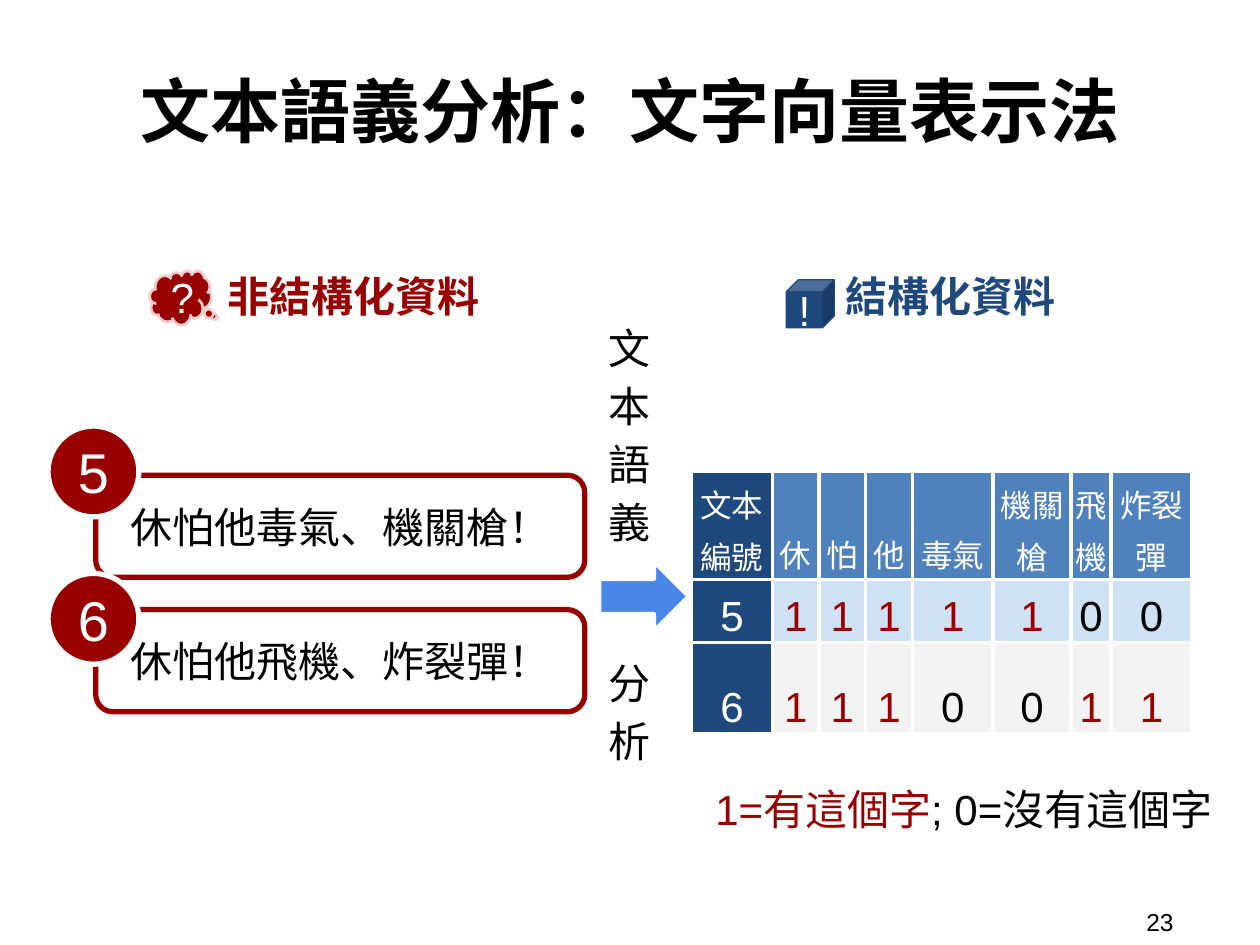
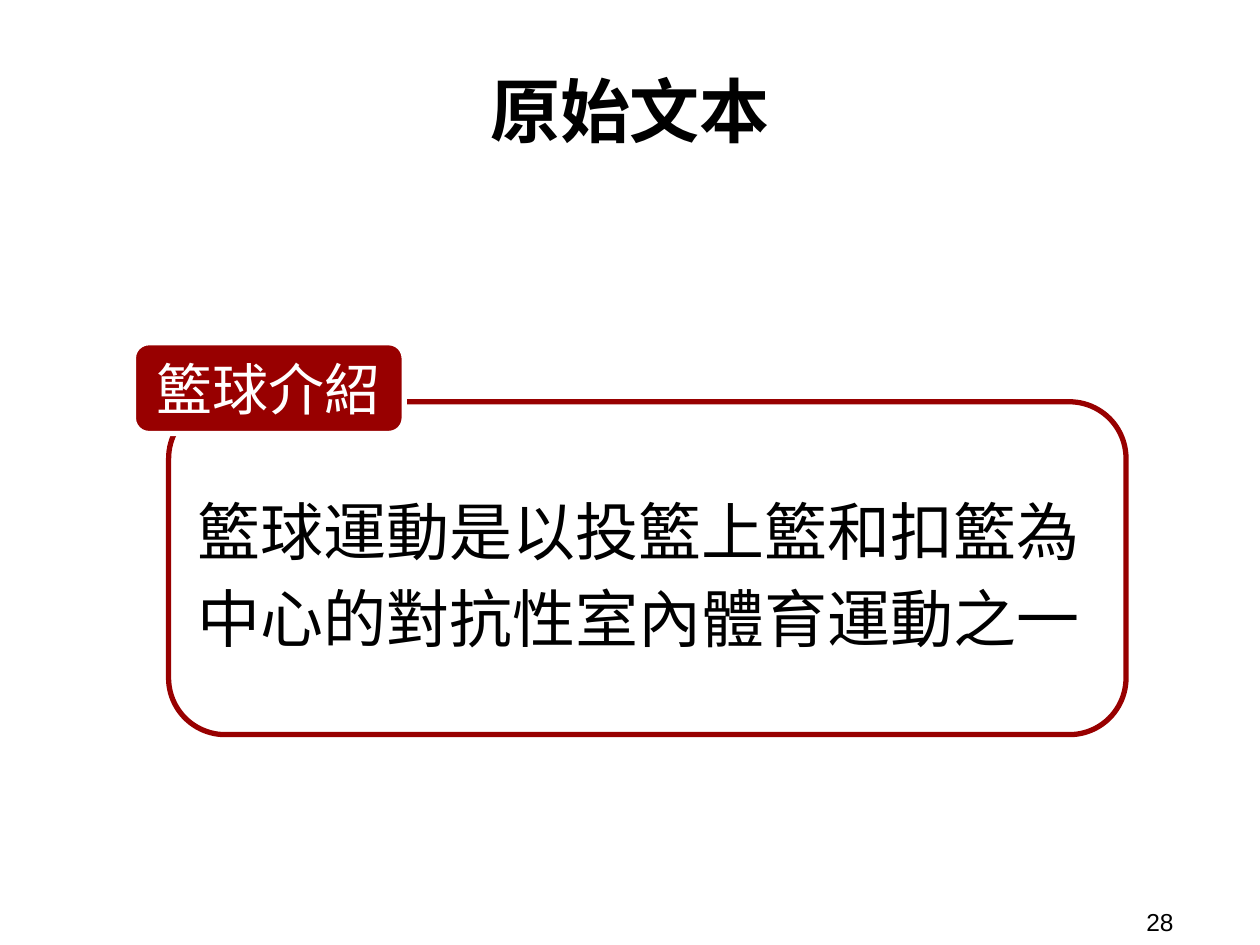
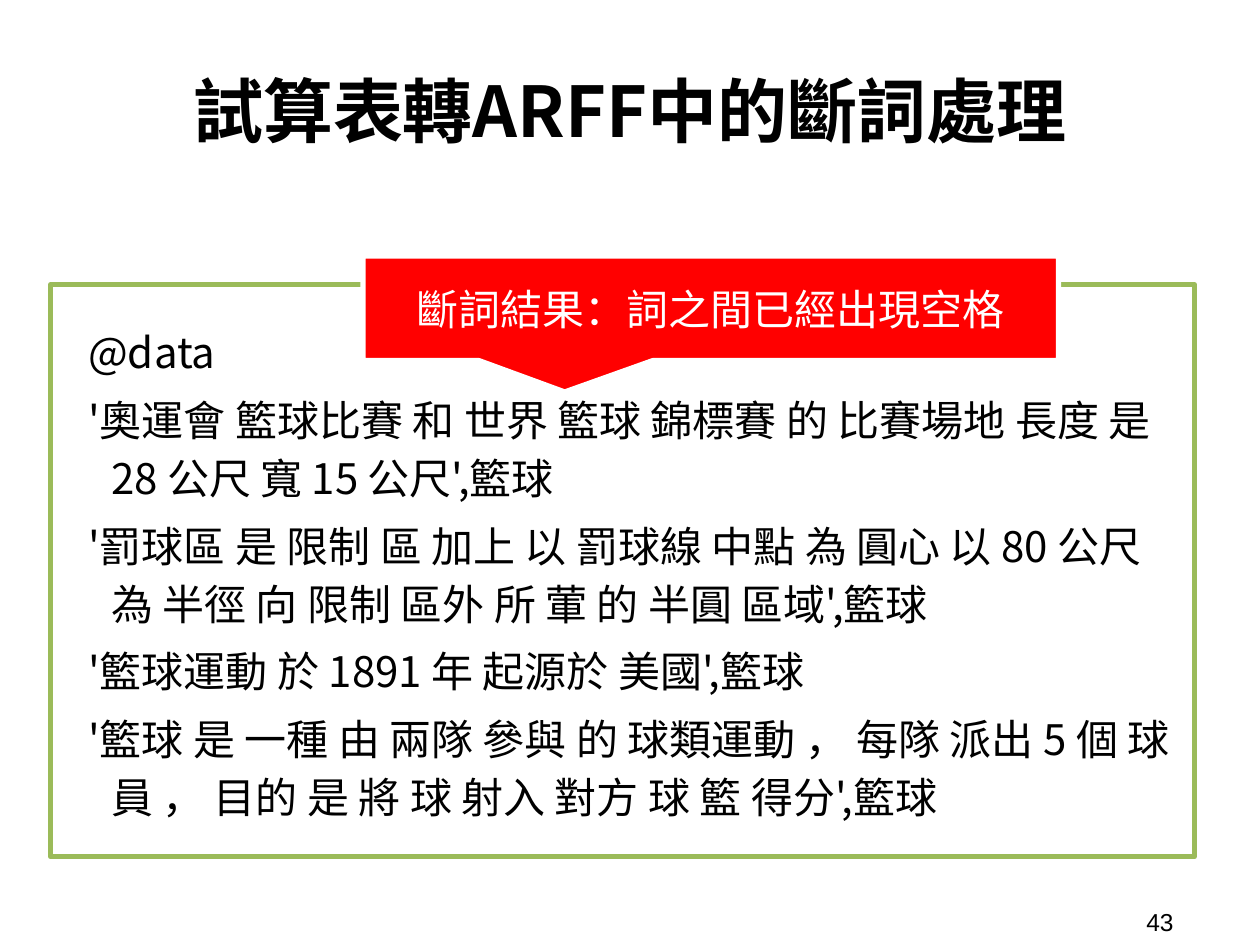
from itertools import cycle
from lxml import etree
from pptx import Presentation
from pptx import util as u
from pptx.dml.color import RGBColor
from pptx.enum import shapes, text
from pptx.oxml import ns

Cm = u.Cm
Shape = shapes.MSO_SHAPE
Align = text.PP_ALIGN
Anchor = text.MSO_ANCHOR
CJK = "Noto Sans CJK TC"
RED, NAVY, BLUE, WHITE, BLACK = "980000", "1F497D", "4F81BD", "FFFFFF", "000000"


def rgb(value):
    return RGBColor.from_string(value)


def write(holder, content, size=24, colors=(BLACK,), font="Arial", bold=False,
          align=Align.CENTER, anchor=Anchor.MIDDLE, inset=(0.25, 0.25),
          spacing=None, before=0, hanging=None):
    frame = holder.text_frame
    frame.word_wrap = True
    body = frame if hasattr(holder, "shape_type") else holder
    body.vertical_anchor = anchor
    body.margin_left = body.margin_right = Cm(inset[0])
    body.margin_top = body.margin_bottom = Cm(inset[1])
    for number, line in enumerate(content.split("\n")):
        paragraph = frame.add_paragraph() if number else frame.paragraphs[0]
        paragraph.alignment = align
        if spacing:
            paragraph.line_spacing = spacing
        if number and before:
            paragraph.space_before = u.Pt(before)
        if hanging:
            properties = paragraph._p.get_or_add_pPr()
            properties.set("marL", str(Cm(hanging[0])))
            properties.set("indent", str(Cm(hanging[1])))
        for piece, color in zip(line.split("|"), cycle(colors)):
            run = paragraph.add_run()
            run.text = piece
            run.font.size = u.Pt(size)
            run.font.bold = bold
            run.font.color.rgb = rgb(color)
            run.font.name = font
            etree.SubElement(run._r.get_or_add_rPr(), ns.qn("a:ea"), typeface=CJK)


deck = Presentation()
deck.slide_width, deck.slide_height = Cm(25.4), Cm(19.05)

pages = []
for heading, page_number in (("文本語義分析：文字向量表示法", "23"),
                             ("原始文本", "28"),
                             ("試算表轉ARFF中的斷詞處理", "43")):
    page = deck.slides.add_slide(deck.slide_layouts[5])
    title = page.shapes.title
    title.left, title.top, title.width, title.height = Cm(1.32), Cm(0.48), Cm(22.76), Cm(3.45)
    write(title, heading, size=40, font=CJK, bold=True)
    title.text_frame.auto_size = text.MSO_AUTO_SIZE.NONE
    footer = page.shapes.add_textbox(Cm(22.86), Cm(18.21), Cm(2.34), Cm(0.74))
    write(footer, page_number, size=14, align=Align.LEFT, inset=(0.25, 0.13))
    pages.append(page)
vectors, source_text, segmented = pages

arff_lines = """@data
'奧運會 籃球比賽 和 世界 籃球 錦標賽 的 比賽場地 長度 是 28 公尺 寬 15 公尺',籃球
'罰球區 是 限制 區 加上 以 罰球線 中點 為 圓心 以 80 公尺 為 半徑 向 限制 區外 所 葷 的 半圓 區域',籃球
'籃球運動 於 1891 年 起源於 美國',籃球
'籃球 是 一種 由 兩隊 參與 的 球類運動 ， 每隊 派出 5 個 球員 ， 目的 是 將 球 射入 對方 球 籃 得分',籃球"""

badge = dict(size=32, colors=(WHITE,))
icon = dict(colors=(WHITE,), align=Align.LEFT)
figures = [
    (vectors, Shape.RIGHT_ARROW, (12.07, 11.3, 1.83, 1.45), (0.5, 0.5),
     "4A86E8", WHITE, 3, "", {}),
    (vectors, Shape.CLOUD_CALLOUT, (3.02, 5.46, 1.24, 1.09), (0.58, 0.37),
     RED, "F4CCCC", 1.5, "?", icon),
    (vectors, Shape.CUBE, (15.85, 5.64, 0.97, 0.97), (0.25,),
     NAVY, NAVY, 0.75, "!", icon),
]
documents = [("5", "休怕他毒氣、機關槍！", 9.58, 8.59),
             ("6", "休怕他飛機、炸裂彈！", 12.29, 11.56)]
for label, sentence, top, badge_top in documents:
    figures.append((vectors, Shape.ROUNDED_RECTANGLE, (1.93, top, 9.86, 2.06), (0.17,),
                    WHITE, RED, 3, sentence, {}))
for label, sentence, top, badge_top in documents:
    figures.append((vectors, Shape.OVAL, (0.97, badge_top, 1.83, 1.83), (),
                    RED, WHITE, 3, label, badge))
figures += [
    (source_text, Shape.ROUNDED_RECTANGLE, (3.4, 8.1, 19.3, 6.71), (0.17,), WHITE, RED, 3,
     "籃球運動是以投籃上籃和扣籃為中心的對抗性室內體育運動之一",
     dict(size=36, align=Align.LEFT, spacing=1.15)),
    (source_text, Shape.ROUNDED_RECTANGLE, (2.69, 6.91, 5.46, 1.83), (0.17,), RED, WHITE, 3,
     "籃球介紹", badge),
    (segmented, Shape.RECTANGLE, (1.02, 5.74, 23.06, 11.53), (), None, "9BBB59", 3, arff_lines,
     dict(font=CJK, align=Align.LEFT, spacing=1.15, before=5.6, hanging=(0.97, -0.46))),
    (segmented, Shape.ROUNDED_RECTANGULAR_CALLOUT, (7.32, 5.16, 14.02, 2.11), (-0.21, 0.8, 0),
     "FF0000", WHITE, 3, "斷詞結果：詞之間已經出現空格", dict(colors=(WHITE,))),
]
for page, kind, box, adjustments, fill, line, weight, content, style in figures:
    figure = page.shapes.add_shape(kind, *map(Cm, box))
    figure.shadow.inherit = False
    for index, value in enumerate(adjustments):
        figure.adjustments[index] = value
    if fill:
        figure.fill.solid()
        figure.fill.fore_color.rgb = rgb(fill)
    else:
        figure.fill.background()
    figure.line.color.rgb = rgb(line)
    figure.line.width = u.Pt(weight)
    if content:
        write(figure, content, **style)

captions = [
    ((1.75, 5.21, 10.77, 1.63), "非結構化資料",
     dict(colors=(RED,), font=CJK, bold=True, anchor=Anchor.TOP)),
    ((13.77, 5.21, 10.77, 1.63), "結構化資料",
     dict(colors=(NAVY,), font=CJK, bold=True, anchor=Anchor.TOP)),
    ((13.08, 15.54, 11.61, 1.63), "1=有這個字|; 0=沒有這個字",
     dict(colors=(RED, BLACK), align=Align.RIGHT, anchor=Anchor.TOP)),
    ((11.71, 6.2, 1.96, 4.98), "文\n本語\n義", dict(spacing=1.15)),
    ((11.71, 11.79, 1.96, 4.98), "分\n析", dict(spacing=1.15)),
]
for box, content, style in captions:
    write(vectors.shapes.add_textbox(*map(Cm, box)), content, **style)

word_table = [["文本\n編號", "休", "怕", "他", "毒氣", "機關槍", "飛機", "炸裂彈"],
              ["5", "1", "1", "1", "1", "1", "0", "0"],
              ["6", "1", "1", "1", "0", "0", "1", "1"]]
widths = [1.63, 0.94, 0.94, 0.94, 1.63, 1.57, 0.81, 1.63]
heights = [2.18, 1.17, 1.85]
row_fills = [BLUE, "CFE2F3", "F3F3F3"]
grid = vectors.shapes.add_table(len(heights), len(widths), Cm(13.94), Cm(9.5),
                                Cm(sum(widths)), Cm(sum(heights))).table
for column, width in zip(grid.columns, widths):
    column.width = Cm(width)
for row, height in zip(grid.rows, heights):
    row.height = Cm(height)
for r, values in enumerate(word_table):
    for c, value in enumerate(values):
        cell = grid.cell(r, c)
        color = WHITE if r == 0 or c == 0 else RED if value == "1" else BLACK
        write(cell, value, size=24 if r else 18, colors=(color,), anchor=Anchor.BOTTOM,
              inset=(0.08, 0.05), spacing=1.15)
        for side in ("lnL", "lnR", "lnT", "lnB"):
            border = etree.SubElement(cell._tc.get_or_add_tcPr(), ns.qn("a:" + side),
                                      w=str(u.Pt(2.25)))
            paint = etree.SubElement(border, ns.qn("a:solidFill"))
            etree.SubElement(paint, ns.qn("a:srgbClr"), val=WHITE)
        cell.fill.solid()
        cell.fill.fore_color.rgb = rgb(row_fills[r] if c else NAVY)

deck.save("out.pptx")
